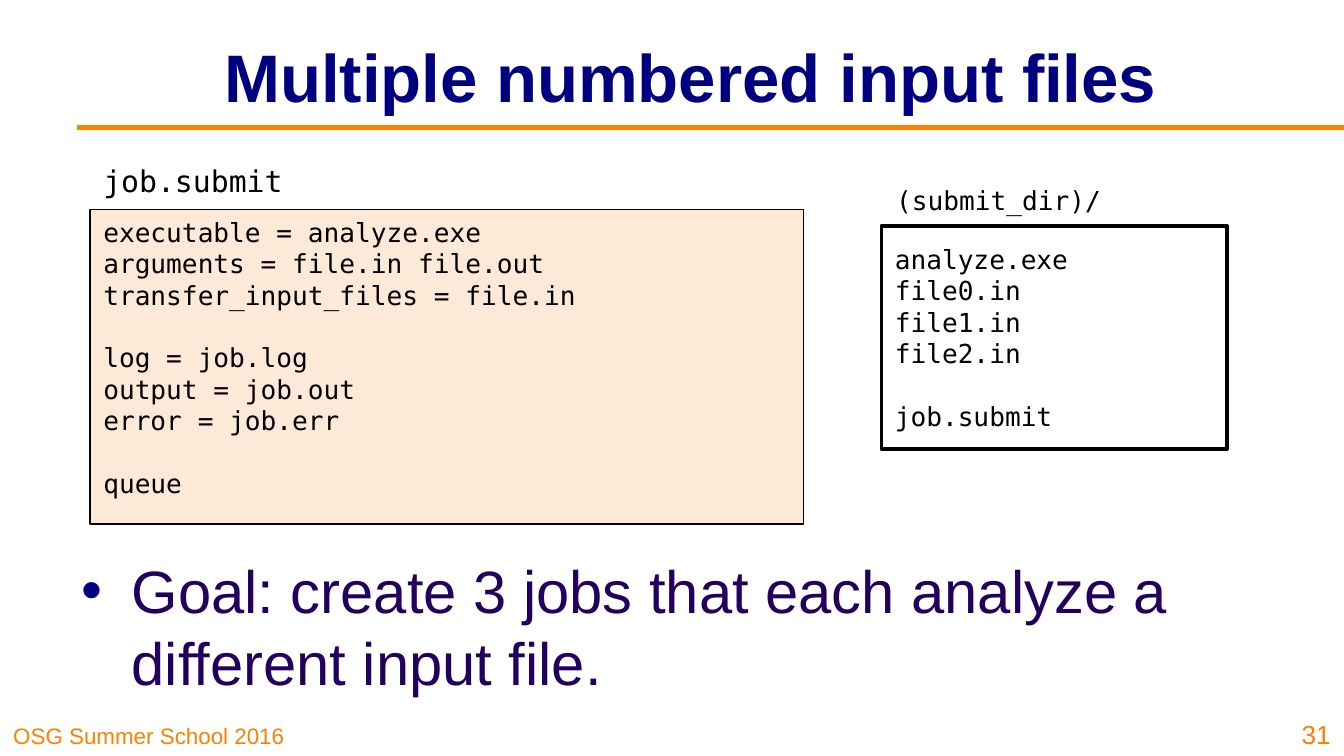
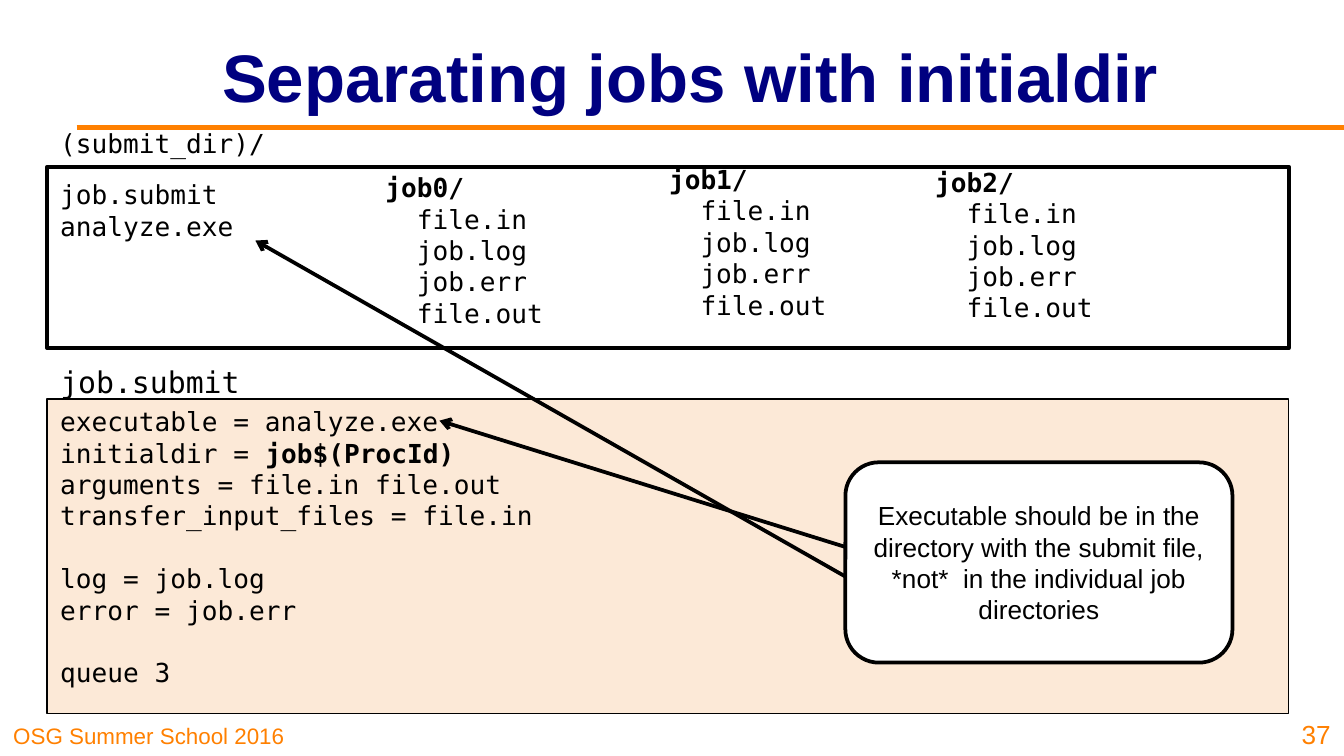
from lxml import etree
from pptx import Presentation
from pptx import util as u
from pptx.dml.color import RGBColor
from pptx.enum import shapes, text
from pptx.oxml.ns import qn

NAVY, INDIGO, ORANGE = "000080", "23005F", "FF8000"
BLACK, WHITE, PEACH = "000000", "FFFFFF", "FCE9D7"
SANS, MONO = "Arial", "DejaVu Sans Mono"
LEFT, CENTER, RIGHT = text.PP_ALIGN.LEFT, text.PP_ALIGN.CENTER, text.PP_ALIGN.RIGHT
TOP, MIDDLE, BOTTOM = text.MSO_ANCHOR.TOP, text.MSO_ANCHOR.MIDDLE, text.MSO_ANCHOR.BOTTOM
RECTANGLE = shapes.MSO_SHAPE.RECTANGLE
ROUNDED = shapes.MSO_SHAPE.ROUNDED_RECTANGLE

FOOTER = "OSG Summer School 2016"
TITLE_AREA = (1.34, 0.09, 7.6, 0.94)
GOAL_AREA = (0.51, 4.07, 9, 1.21)

NUMBERED = {
    "title": "Multiple numbered input files",
    "number": 31,
    "goal": "Goal: create 3 jobs that each analyze a different input file.",
    "submit": [
        "executable = analyze.exe",
        "arguments = file.in file.out",
        "transfer_input_files = file.in",
        "",
        "log = job.log",
        "output = job.out",
        "error = job.err",
        "",
        "queue",
    ],
    "directory": ["analyze.exe", "file0.in", "file1.in", "file2.in", "", "job.submit"],
}

INITIALDIR = {
    "title": "Separating jobs with initialdir",
    "number": 37,
    "submit": [
        "executable = analyze.exe",
        "initialdir = **job$(ProcId)**",
        "arguments = file.in file.out",
        "transfer_input_files = file.in",
        "",
        "log = job.log",
        "error = job.err",
        "",
        "queue 3",
    ],
    "directory": ["job.submit", "analyze.exe"],
    "job_files": ["file.in", "job.log", "job.err", "file.out"],
    "job_corners": [(2.77, 1.17), (4.88, 1.11), (6.86, 1.13)],
    "callout": "Executable should be in the directory with the submit file, "
               "*not*  in the individual job directories",
    "arrows": [((6.29, 4.07), (3.27, 3.13)), ((6.29, 4.29), (1.9, 1.79))],
}


def color(value):
    return RGBColor.from_string(value)


def inches(values):
    return [u.Inches(value) for value in values]


def place(shape, area):
    shape.left, shape.top, shape.width, shape.height = inches(area)


def style(font, size, name, hue, bold=False):
    font.size, font.name, font.bold = u.Pt(size), name, bold
    font.color.rgb = color(hue)


def write(shape, lines, size, name=MONO, hue=BLACK, align=LEFT, anchor=TOP, bold=False):
    frame = shape.text_frame
    frame.word_wrap = True
    frame.auto_size = text.MSO_AUTO_SIZE.NONE
    frame.vertical_anchor = anchor
    for index, line in enumerate(lines):
        paragraph = frame.add_paragraph() if index else frame.paragraphs[0]
        paragraph.alignment = align
        style(paragraph.font, size, name, hue)
        for position, part in enumerate(line.split("**")):
            if part:
                run = paragraph.add_run()
                run.text = part
                style(run.font, size, name, hue, bold or position % 2 == 1)
        if not line:
            end = etree.SubElement(paragraph._p, qn("a:endParaRPr"), sz=str(size * 100))
            etree.SubElement(end, qn("a:latin"), typeface=name)
    return frame


def add_text(slide, area, lines, size, **options):
    return write(slide.shapes.add_textbox(*inches(area)), lines, size, **options)


def add_label(slide, area, label, size):
    frame = add_text(slide, area, [label], size)
    frame.word_wrap = False
    frame.auto_size = text.MSO_AUTO_SIZE.SHAPE_TO_FIT_TEXT


def add_box(slide, area, lines, fill=WHITE, line=2, kind=RECTANGLE, **options):
    shape = slide.shapes.add_shape(kind, *inches(area))
    shape.shadow.inherit = False
    shape.fill.solid()
    shape.fill.fore_color.rgb = color(fill)
    shape.line.color.rgb = color(BLACK)
    shape.line.width = u.Pt(line)
    return write(shape, lines, 14, **options)


def add_line(slide, start, end, hue, width, arrow=False):
    connector = slide.shapes.add_connector(
        shapes.MSO_CONNECTOR.STRAIGHT, *inches(start + end))
    connector.line.color.rgb = color(hue)
    connector.line.width = u.Pt(width)
    if arrow:
        etree.SubElement(connector.line._get_or_add_ln(), qn("a:tailEnd"), type="arrow")
    etree.SubElement(connector._element.spPr, qn("a:effectLst"))


def add_slide(presentation, layout, content):
    slide = presentation.slides.add_slide(presentation.slide_layouts[layout])
    place(slide.shapes.title, TITLE_AREA)
    write(slide.shapes.title, [content["title"]], 36, name=SANS, hue=NAVY,
          align=CENTER, anchor=MIDDLE, bold=True)
    add_line(slide, (0.57, 0.95), (10, 0.95), ORANGE, 3)
    add_text(slide, (0, 5.31, 2.48, 0.31), [FOOTER], 12,
             name=SANS, hue=ORANGE, anchor=BOTTOM)
    add_text(slide, (9.54, 5.25, 0.46, 0.38), [str(content["number"])], 14,
             name=SANS, hue=ORANGE, align=RIGHT, anchor=BOTTOM)
    return slide


def add_submit_file(slide, area, label_top, lines):
    add_box(slide, area, lines, fill=PEACH, line=0.75)
    add_label(slide, (area[0], label_top, 1.55, 0.31), "job.submit", 16)


def add_goal(slide, goal):
    body = slide.placeholders[1]
    place(body, GOAL_AREA)
    paragraph = body.text_frame.paragraphs[0]
    properties = paragraph._p.get_or_add_pPr()
    properties.set("marL", str(u.Inches(0.37)))
    properties.set("indent", str(-u.Inches(0.37)))
    bullet_color = etree.SubElement(properties, qn("a:buClr"))
    etree.SubElement(bullet_color, qn("a:srgbClr"), val=NAVY)
    etree.SubElement(properties, qn("a:buFont"), typeface=SANS)
    etree.SubElement(properties, qn("a:buChar"), char="•")
    paragraph.space_before = u.Pt(0)
    write(body, [goal], 32, name=SANS, hue=INDIGO)


def build_numbered(presentation):
    slide = add_slide(presentation, 1, NUMBERED)
    add_goal(slide, NUMBERED["goal"])
    add_submit_file(slide, (0.67, 1.56, 5.31, 2.34), 1.16, NUMBERED["submit"])
    add_box(slide, (6.56, 1.68, 2.57, 1.66), NUMBERED["directory"], anchor=MIDDLE)
    add_label(slide, (6.57, 1.32, 2.17, 0.33), "(submit_dir)/", 14)


def build_initialdir(presentation):
    slide = add_slide(presentation, 5, INITIALDIR)
    add_submit_file(slide, (0.35, 2.97, 9.24, 2.34), 2.66, INITIALDIR["submit"])
    directory = add_box(slide, (0.35, 1.24, 9.24, 1.35), INITIALDIR["directory"])
    directory.margin_top = u.Inches(0.09)
    for job, corner in enumerate(INITIALDIR["job_corners"]):
        lines = [f"**job{job}/**"] + [f"  {name}" for name in INITIALDIR["job_files"]]
        add_text(slide, corner + (1.94, 1.38), lines, 14, anchor=MIDDLE)
    add_label(slide, (0.35, 0.9, 2.17, 0.33), "(submit_dir)/", 14)
    add_box(slide, (6.29, 3.44, 2.88, 1.49), [INITIALDIR["callout"]], kind=ROUNDED,
            name=SANS, align=CENTER, anchor=MIDDLE)
    for start, end in INITIALDIR["arrows"]:
        add_line(slide, start, end, BLACK, 2, arrow=True)


def main():
    presentation = Presentation()
    presentation.slide_width = u.Inches(10)
    presentation.slide_height = presentation.slide_width * 9 // 16
    build_numbered(presentation)
    build_initialdir(presentation)
    presentation.save("out.pptx")


if __name__ == "__main__":
    main()
